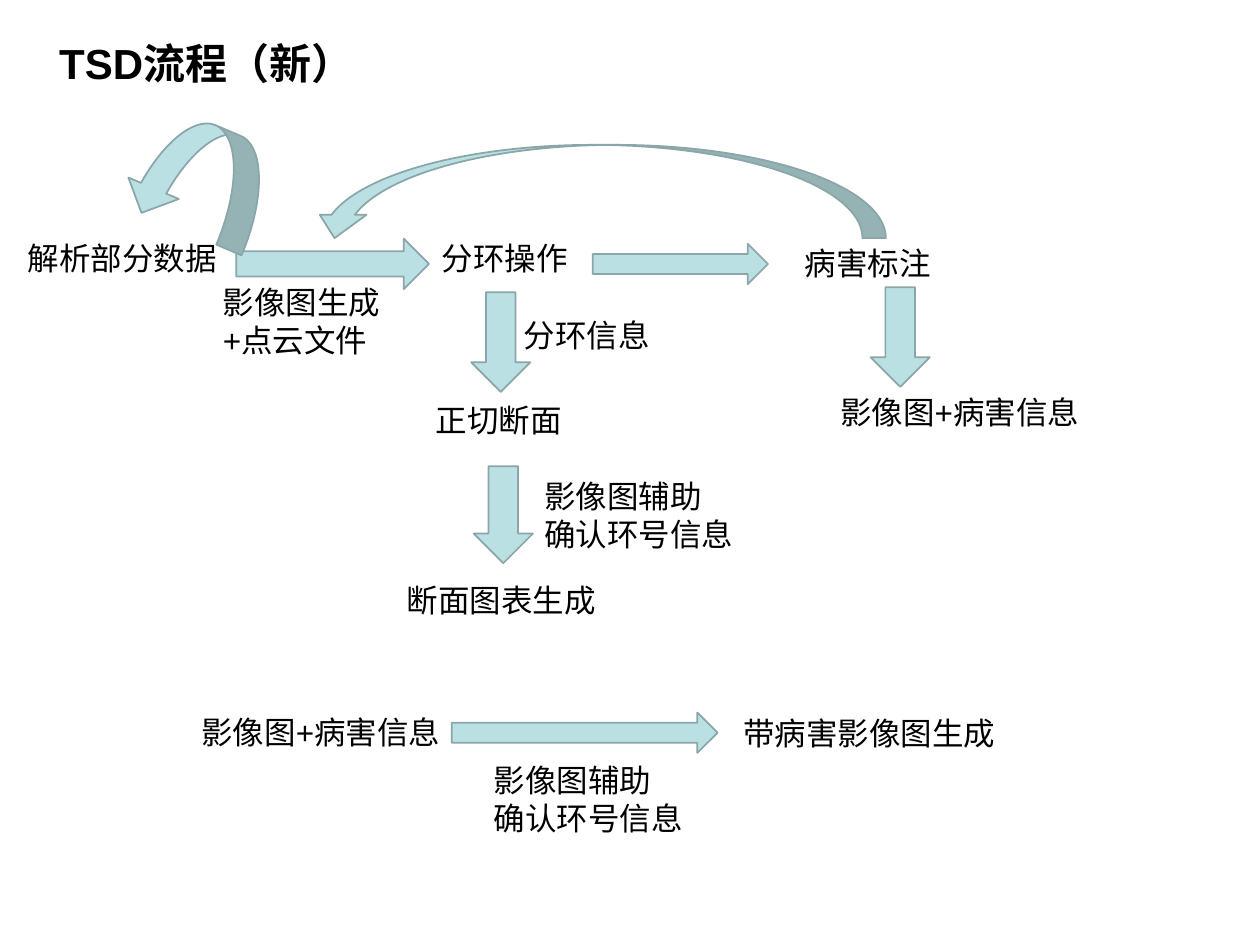
import pptx
import pptx.util
import pptx.dml.color
import pptx.enum.shapes
import pptx.enum.text

KIND = pptx.enum.shapes.MSO_SHAPE
COLS, ROWS = 100, 75


def tint(code):
    """Turn a hex string into a colour."""
    return pptx.dml.color.RGBColor.from_string(code)


class Flow:
    """Style and current slide of a flow chart."""
    font, ink, fill, edge = "Arial", "000000", "BBE0E3", "8AA6A8"

    def __init__(self, deck):
        """Add a title-only slide to the deck."""
        self.slide = deck.slides.add_slide(deck.slide_layouts[5])
        self.col = deck.slide_width / COLS
        self.row = deck.slide_height / ROWS

    def box(self, x, y, w, h):
        """Turn columns and rows into slide lengths."""
        return (round(x * self.col), round(y * self.row),
                round(w * self.col), round(h * self.row))

    def letter(self, frame, text, size, bold=False):
        """Fill a text frame, one paragraph a line."""
        frame.text = text
        frame.word_wrap = True
        frame.vertical_anchor = pptx.enum.text.MSO_ANCHOR.TOP
        for para in frame.paragraphs:
            para.alignment = pptx.enum.text.PP_ALIGN.LEFT
            para.font.name = self.font
            para.font.size = pptx.util.Pt(size)
            para.font.bold = bold
            para.font.color.rgb = tint(self.ink)

    def title(self, text, *area):
        """Place and fill the title."""
        head = self.slide.shapes.title
        head.left, head.top, head.width, head.height = self.box(*area)
        self.letter(head.text_frame, text, 24, True)
        head.text_frame.auto_size = pptx.enum.text.MSO_AUTO_SIZE.NONE

    def label(self, text, x, y, w):
        """Add a text box as tall as its lines."""
        high = 4 + 3.1 * text.count("\n")
        area = self.box(x, y, w, high)
        frame = self.slide.shapes.add_textbox(*area).text_frame
        self.letter(frame, text, 18)
        frame.auto_size = pptx.enum.text.MSO_AUTO_SIZE.SHAPE_TO_FIT_TEXT

    def arrow(self, x, y, w, h, turn=0, kind=KIND.DOWN_ARROW):
        """Add a block arrow, turned by degrees."""
        shape = self.slide.shapes.add_shape(kind, *self.box(x, y, w, h))
        shape.rotation = turn
        shape.shadow.inherit = False
        shape.fill.solid()
        shape.fill.fore_color.rgb = tint(self.fill)
        shape.line.color.rgb = tint(self.edge)
        shape.line.width = pptx.util.Pt(1)


def main():
    """Build and save the slide."""
    deck = pptx.Presentation()
    deck.slide_width = pptx.util.Inches(10)
    deck.slide_height = pptx.util.Inches(7.5)
    flow = Flow(deck)
    flow.title("TSD流程（新）", 3.7, 2.5, 26.8, 5)

    result = "影像图+病害信息"
    check = "影像图辅助\n确认环号信息"
    steps = [
        ("解析部分数据", 1.2, 18.5, 18.2),
        ("分环操作", 34.1, 18.5, 13.4),
        ("病害标注", 62.9, 18.9, 12.3),
        ("正切断面", 33.6, 31.3, 13.4),
        ("断面图表生成", 31.3, 45.6, 21.1),
        (result, 15, 56.1, 25.8),
        (result, 65.7, 30.7, 21.2),
        ("带病害影像图生成", 58, 56.2, 22.2),
    ]
    arrows = [
        (52.4, 14, 3.2, 13.9, 270),
        (24.4, 13.3, 4, 15.3, 270),
        (44.8, 47.6, 3.2, 21.1, 270),
        (37.4, 23.2, 4.7, 7.9),
        (37.6, 37, 4.7, 7.7),
        (69.1, 22.8, 4.7, 7.9),
        (10.5, 9.8, 10.8, 8.7, 203, KIND.CURVED_UP_ARROW),
        (43.8, -7.6, 7.4, 45.6, 90, KIND.CURVED_RIGHT_ARROW),
    ]
    notes = [
        ("影像图生成\n+点云文件", 16.7, 22, 14.9),
        ("分环信息", 40.6, 24.6, 13.4),
        (check, 42.2, 37.4, 18.7),
        (check, 38.2, 59.9, 18.7),
    ]
    for step in steps:
        flow.label(*step)
    for arrow in arrows:
        flow.arrow(*arrow)
    for note in notes:
        flow.label(*note)
    deck.save("out.pptx")


main()
